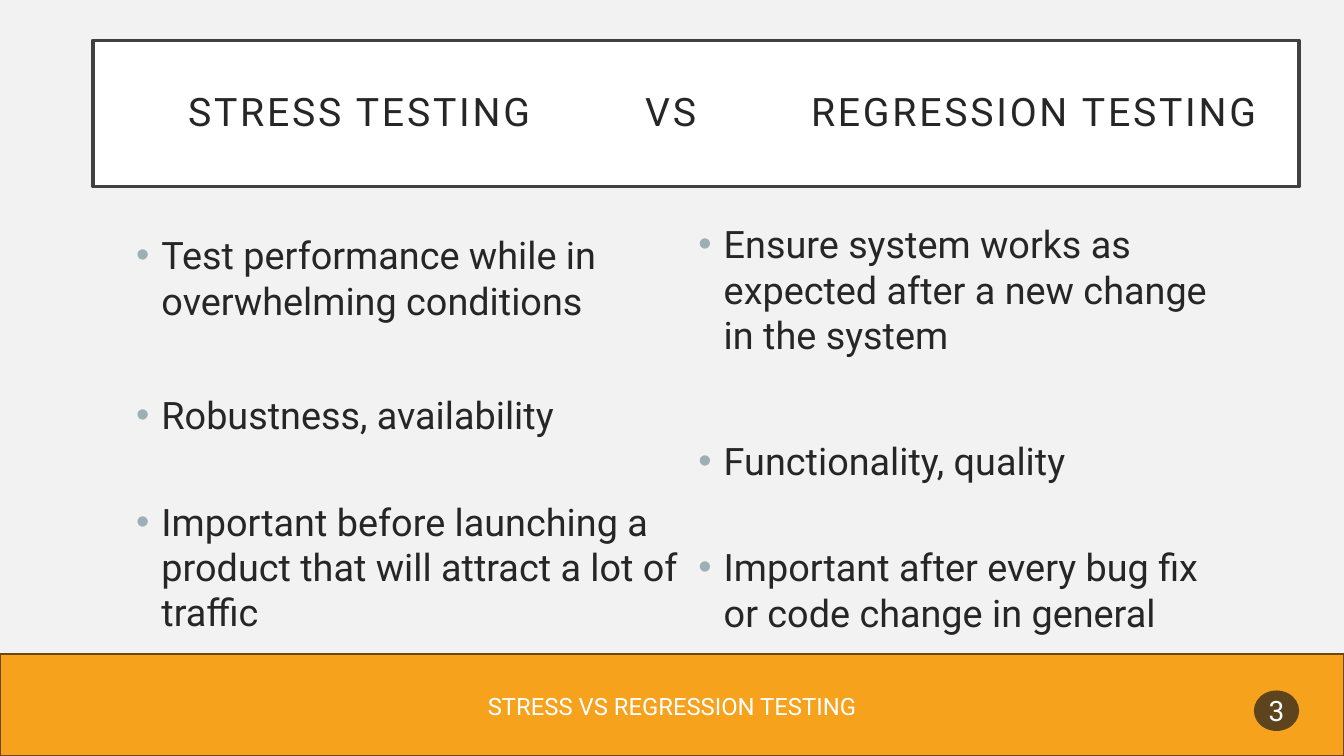
import dataclasses

import lxml.etree
import pptx
import pptx.dml.color
import pptx.enum.shapes
import pptx.enum.text
import pptx.oxml.ns
import pptx.util

Cm = pptx.util.Cm
Pt = pptx.util.Pt
SHAPES = pptx.enum.shapes.MSO_SHAPE
ALIGN = pptx.enum.text.PP_ALIGN
MIDDLE = pptx.enum.text.MSO_ANCHOR.MIDDLE
qn = pptx.oxml.ns.qn

FONT = "Roboto"
COLORS = {
    "background": "F2F2F2",
    "band": "F6A21D",
    "band_line": "6C470D",
    "title_fill": "FFFFFF",
    "title_line": "404040",
    "text": "262626",
    "bullet": "9BAFB5",
    "badge": "1D1D1D",
    "light_text": "FFFFFF",
}


@dataclasses.dataclass
class Area:
    left: float
    top: float
    width: float
    height: float

    def lengths(self) -> list:
        return [Cm(value) for value in dataclasses.astuple(self)]


@dataclasses.dataclass
class Panel:
    kind: int
    area: Area
    fill: str
    line: str = ""
    line_width: float = 0


@dataclasses.dataclass
class Point:
    text: str
    space_before: float = 10


@dataclasses.dataclass
class Column:
    area: Area
    points: list


BAND = Panel(SHAPES.RECTANGLE, Area(0, 16.48, 33.87, 2.57), "band", "band_line", 1)
TITLE = Panel(SHAPES.RECTANGLE, Area(2.34, 1.02, 30.4, 3.68), "title_fill", "title_line", 2.5)
BADGE = Panel(SHAPES.OVAL, Area(31.6, 17.4, 1.14, 1.02), "badge")
FOOTER = Area(8.28, 17.02, 17.32, 1.52)
TITLE_TABS = (11.52, 15.7)

COLUMNS = [
    Column(Area(17.35, 5.44, 14.17, 11.07), [
        Point("Ensure system works as expected after a new change in the system"),
        Point("Functionality, quality", 57.5),
        Point("Important after every bug fix or code change in general", 43.5),
    ]),
    Column(Area(3.18, 5.72, 14.17, 10.57), [
        Point("Test performance while in overwhelming conditions"),
        Point("Robustness, availability", 49.5),
        Point("Important before launching a product that will attract a lot of traffic", 43.5),
    ]),
]


def rgb(name: str) -> pptx.dml.color.RGBColor:
    return pptx.dml.color.RGBColor.from_string(COLORS[name])


def add_panel(page, panel: Panel):
    shape = page.shapes.add_shape(panel.kind, *panel.area.lengths())
    shape.shadow.inherit = False
    shape.fill.solid()
    shape.fill.fore_color.rgb = rgb(panel.fill)
    if panel.line:
        shape.line.color.rgb = rgb(panel.line)
        shape.line.width = Pt(panel.line_width)
    else:
        shape.line.fill.background()
    return shape


def write(para, text: str, size: float, color: str, align=ALIGN.LEFT) -> None:
    para.text = text
    para.alignment = align
    for span in para.runs:
        span.font.name = FONT
        span.font.size = Pt(size)
        span.font.color.rgb = rgb(color)


def add_bullet(para) -> None:
    properties = para._p.get_or_add_pPr()
    properties.set("marL", str(Cm(0.64)))
    properties.set("indent", str(Cm(-0.64)))
    bullet_color = lxml.etree.SubElement(properties, qn("a:buClr"))
    lxml.etree.SubElement(bullet_color, qn("a:srgbClr"), val=COLORS["bullet"])
    lxml.etree.SubElement(properties, qn("a:buFont"), typeface="Arial")
    lxml.etree.SubElement(properties, qn("a:buChar"), char="•")


def add_column(page, column: Column) -> None:
    frame = page.shapes.add_textbox(*column.area.lengths()).text_frame
    frame.word_wrap = True
    for index, point in enumerate(column.points):
        para = frame.add_paragraph() if index else frame.paragraphs[0]
        write(para, point.text, 27, "text")
        para.space_before = Pt(point.space_before)
        add_bullet(para)


def add_title(page) -> None:
    frame = add_panel(page, TITLE).text_frame
    frame.word_wrap = True
    frame.vertical_anchor = MIDDLE
    frame.margin_left = Cm(2.4)
    frame.margin_right = frame.margin_top = frame.margin_bottom = Cm(0.5)
    para = frame.paragraphs[0]
    write(para, "STRESS TESTING\tVS\tREGRESSION TESTING", 28, "text")
    para.line_spacing = 0.9
    # Tab stops set the gaps between the three headings
    tabs = lxml.etree.SubElement(para._p.get_or_add_pPr(), qn("a:tabLst"))
    for position in TITLE_TABS:
        lxml.etree.SubElement(tabs, qn("a:tab"), pos=str(Cm(position)), algn="l")
    for span in para.runs:
        span._r.get_or_add_rPr().set("spc", "200")


def add_badge(page) -> None:
    badge = add_panel(page, BADGE)
    fill_color = badge._element.spPr.find(qn("a:solidFill"))[0]
    lxml.etree.SubElement(fill_color, qn("a:alpha"), val="70000")
    frame = badge.text_frame
    frame.vertical_anchor = MIDDLE
    frame.margin_left = frame.margin_right = Cm(0.05)
    write(frame.paragraphs[0], "3", 20, "light_text", ALIGN.CENTER)


def add_footer(page) -> None:
    frame = page.shapes.add_textbox(*FOOTER.lengths()).text_frame
    frame.word_wrap = True
    frame.vertical_anchor = MIDDLE
    write(frame.paragraphs[0], "STRESS VS REGRESSION TESTING", 17, "light_text", ALIGN.CENTER)


def main() -> None:
    deck = pptx.Presentation()
    deck.slide_width, deck.slide_height = Cm(33.87), Cm(19.05)
    page = deck.slides.add_slide(deck.slide_layouts[6])
    page.background.fill.solid()
    page.background.fill.fore_color.rgb = rgb("background")

    # Band and title
    add_panel(page, BAND)
    add_title(page)

    # Comparison columns
    for column in COLUMNS:
        add_column(page, column)

    # Footer and page number
    add_badge(page)
    add_footer(page)
    deck.save("out.pptx")


if __name__ == "__main__":
    main()
